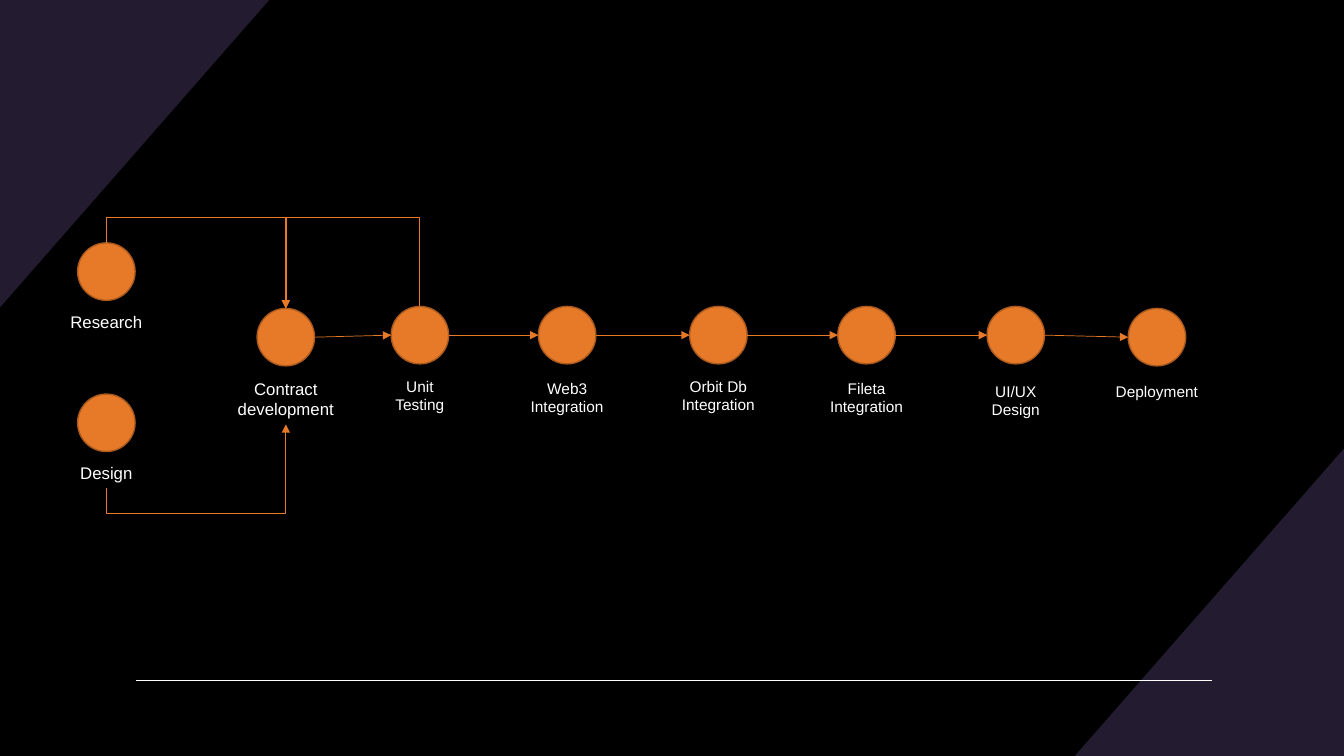
from dataclasses import dataclass
from itertools import pairwise

from lxml.etree import SubElement
from pptx import Presentation
from pptx.dml.color import RGBColor
from pptx.enum.shapes import MSO_CONNECTOR, MSO_SHAPE
from pptx.enum.text import MSO_AUTO_SIZE, PP_ALIGN
from pptx.oxml.ns import qn
from pptx.util import Inches, Pt


@dataclass(frozen=True)
class Theme:
    background: RGBColor = RGBColor.from_string("000000")
    corner: RGBColor = RGBColor.from_string("231B30")
    text: RGBColor = RGBColor.from_string("FFFFFF")
    accent: RGBColor = RGBColor.from_string("E77A29")
    outline: RGBColor = RGBColor.from_string("AB5A1E")
    font: str = "Arial"
    large: int = 12
    small: int = 11
    thin: float = 0.5
    rule: float = 1


@dataclass(frozen=True)
class Step:
    label: str
    x: float
    y: float
    size: int
    width: float
    height: float
    drop: float

    @property
    def center(self):
        return self.x + DIAMETER / 2

    @property
    def middle(self):
        return self.y + DIAMETER / 2

    @property
    def label_bottom(self):
        return self.y + self.drop + self.height


THEME = Theme()
WIDTH, HEIGHT = 13.33, 7.5
DIAMETER = 0.57
BEND = 0.25

RESEARCH = Step("Research", 0, 0.25, THEME.large, 1.23, 0.3, 0.63)
DESIGN = Step("Design", 0, 1.75, THEME.large, 0.99, 0.3, 0.63)
CHAIN = [
    Step("Contract development", 1.78, 0.9, THEME.large, 1.61, 0.5, 0.65),
    Step("Unit Testing", 3.11, 0.88, THEME.small, 0.94, 0.47, 0.65),
    Step("Web3\nIntegration", 4.57, 0.88, THEME.small, 0.99, 0.47, 0.67),
    Step("Orbit Db\nIntegration", 6.07, 0.88, THEME.small, 0.99, 0.47, 0.65),
    Step("Fileta\nIntegration", 7.54, 0.88, THEME.small, 0.99, 0.47, 0.67),
    Step("UI/UX\nDesign", 9.02, 0.88, THEME.small, 0.94, 0.47, 0.7),
    Step("Deployment", 10.42, 0.9, THEME.small, 1.1, 0.29, 0.68),
]


def add_line(slide, kind, begin, end, color, width, arrow=False):
    line = slide.shapes.add_connector(kind, *map(Inches, (*begin, *end)))
    line.line.color.rgb = color
    line.line.width = Pt(width)
    if arrow:
        SubElement(line.line._get_or_add_ln(), qn("a:tailEnd"), type="triangle")
    SubElement(line._element.spPr, qn("a:effectLst"))
    return line


def add_elbow(slide, begin, end, bend_y):
    cx, cy = (begin[0] + end[0]) / 2, (begin[1] + end[1]) / 2
    turned = [(cx + cy - y, cy + x - cx) for x, y in (begin, end)]
    line = add_line(slide, MSO_CONNECTOR.ELBOW, *turned, THEME.accent, THEME.thin, True)
    spPr = line._element.spPr
    spPr.find(qn("a:xfrm")).set("rot", str(270 * 60000))
    adjust = round((bend_y - begin[1]) / (end[1] - begin[1]) * 100000)
    guides = spPr.find(qn("a:prstGeom")).find(qn("a:avLst"))
    SubElement(guides, qn("a:gd"), name="adj1", fmla=f"val {adjust}")


def add_corner(slide, left, top, width, height, lower):
    right, bottom = left + width, top + height
    tip = (right, bottom) if lower else (left, top)
    points = [tip, (left, bottom), (right, top)]
    start, *others = [(Inches(x), Inches(y)) for x, y in points]
    builder = slide.shapes.build_freeform(*start)
    builder.add_line_segments(others, close=True)
    sp = builder.convert_to_shape()
    sp.shadow.inherit = False
    sp.fill.solid()
    sp.fill.fore_color.rgb = THEME.corner
    sp.line.fill.background()


def add_backdrop(slide, width, height):
    fill = slide.background.fill
    fill.solid()
    fill.fore_color.rgb = THEME.background
    corner_w, corner_h = 2.67, 3.05
    add_corner(slide, width - corner_w, height - corner_h, corner_w, corner_h, True)
    add_corner(slide, 0, 0, corner_w, corner_h, False)
    rule_y = height - 0.75
    add_line(slide, MSO_CONNECTOR.STRAIGHT, (1.35, rule_y), (width - 1.31, rule_y),
             THEME.text, THEME.rule)


def add_step(slide, left, top, step):
    sp = slide.shapes.add_shape(MSO_SHAPE.OVAL, Inches(left + step.x), Inches(top + step.y),
                                Inches(DIAMETER), Inches(DIAMETER))
    sp.shadow.inherit = False
    sp.fill.solid()
    sp.fill.fore_color.rgb = THEME.accent
    sp.line.color.rgb = THEME.outline
    sp.line.width = Pt(THEME.rule)

    label = slide.shapes.add_textbox(
        Inches(left + step.center - step.width / 2), Inches(top + step.y + step.drop),
        Inches(step.width), Inches(step.height))
    tf = label.text_frame
    tf.text = step.label
    tf.word_wrap = True
    tf.auto_size = MSO_AUTO_SIZE.SHAPE_TO_FIT_TEXT
    for p in tf.paragraphs:
        p.alignment = PP_ALIGN.CENTER
        for r in p.runs:
            r.font.name = THEME.font
            r.font.size = Pt(step.size)
            r.font.color.rgb = THEME.text


def add_roadmap(slide, left, top):
    for step in (RESEARCH, DESIGN, *CHAIN):
        add_step(slide, left, top, step)

    for a, b in pairwise(CHAIN):
        add_line(slide, MSO_CONNECTOR.STRAIGHT,
                 (left + a.x + DIAMETER, top + a.middle), (left + b.x, top + b.middle),
                 THEME.accent, THEME.thin, True)

    contract, testing = CHAIN[:2]
    contract_top = (left + contract.center, top + contract.y)
    for source in (RESEARCH, testing):
        add_elbow(slide, (left + source.center, top + source.y), contract_top, top)
    design_bottom = top + DESIGN.label_bottom
    add_elbow(slide, (left + DESIGN.center, design_bottom),
              (left + contract.center, top + contract.label_bottom), design_bottom + BEND)


def main():
    prs = Presentation()
    prs.slide_width, prs.slide_height = Inches(WIDTH), Inches(HEIGHT)
    slide = prs.slides.add_slide(prs.slide_layouts[6])
    add_backdrop(slide, WIDTH, HEIGHT)
    add_roadmap(slide, 0.77, 2.16)
    prs.save("out.pptx")


if __name__ == "__main__":
    main()
